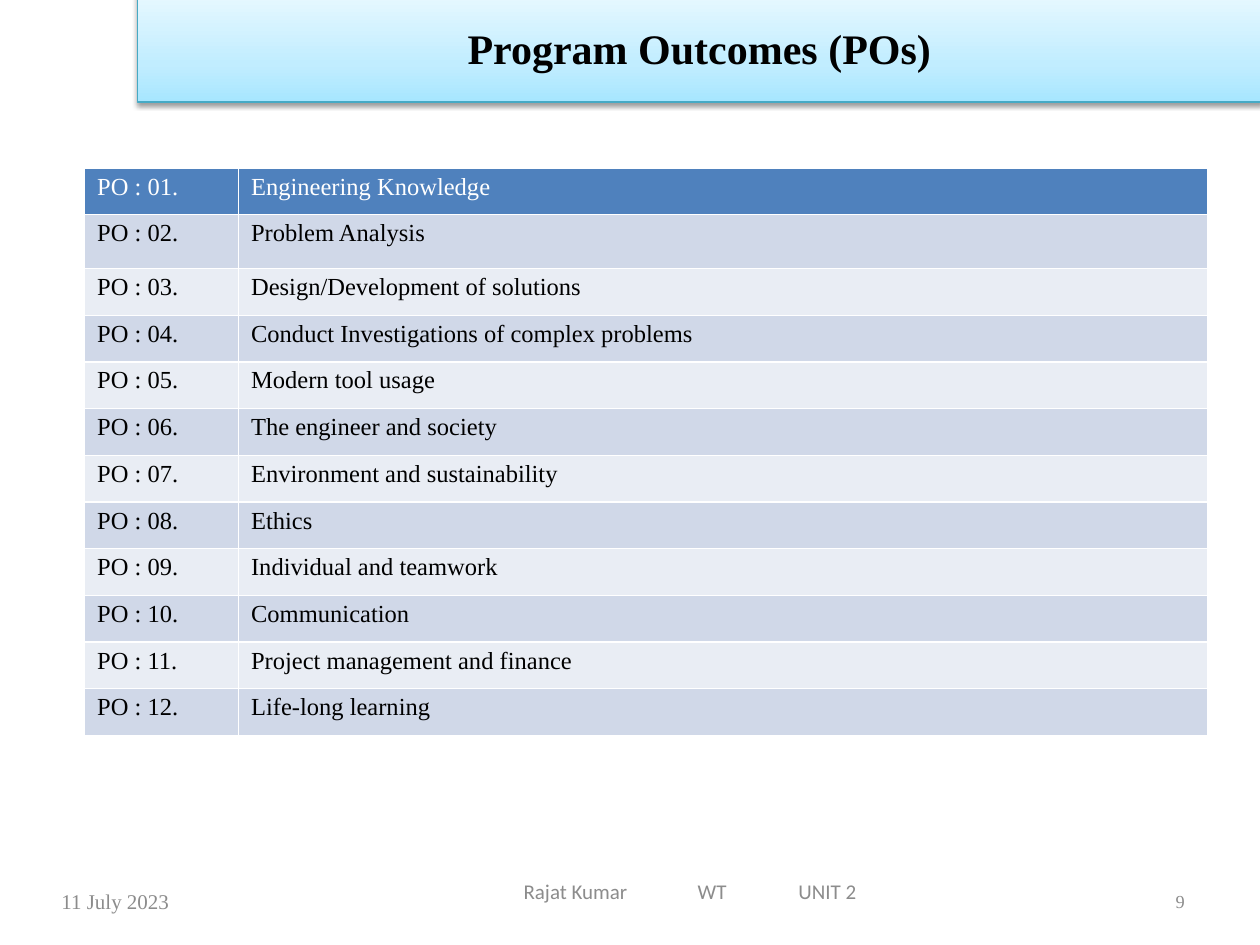
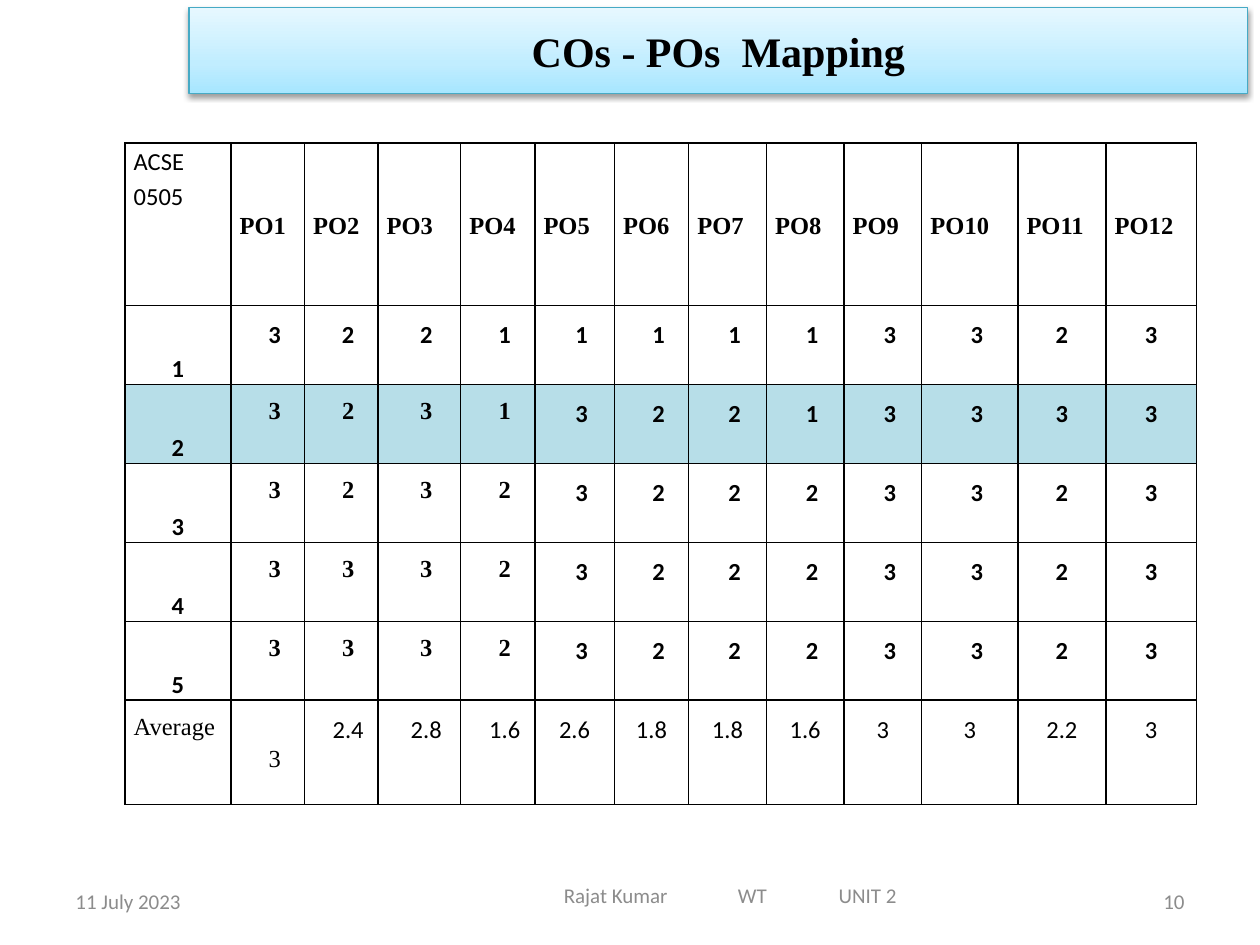
from dataclasses import dataclass
from lxml.etree import SubElement as Sub
from pptx import Presentation as Deck
from pptx.dml.color import RGBColor as RGB
from pptx.enum.shapes import MSO_SHAPE as Kind
from pptx.enum.text import MSO_ANCHOR as Anchor, PP_ALIGN as Align
from pptx.oxml.ns import qn
from pptx.util import Pt


@dataclass(frozen=True)
class Theme:
    serif: str = "Times New Roman"
    sans: str = "Calibri"
    black: str = "000000"
    white: str = "FFFFFF"
    gray: str = "8C8C8C"
    edge: str = "46AAC5"
    head: str = "4F81BD"
    bands: tuple = ("D0D8E8", "E9EDF4")
    mark: str = "B7DEE8"
    glow: tuple = ((0, "A7E6FF"), (35, "C1EDFF"), (100, "E7F8FF"))
    title: float = 24
    body: float = 14
    small: float = 12
    tiny: float = 10.5


T = Theme()
DATE = "11 July 2023"
CREDIT = ("Rajat Kumar", "WT", "UNIT 2")
TABS = (99.5, 157)   # where the second and third credit parts start
SPAN = 190           # width of the whole credit line

GOALS = (
    "Engineering Knowledge", "Problem Analysis",
    "Design/Development of solutions",
    "Conduct Investigations of complex problems", "Modern tool usage",
    "The engineer and society", "Environment and sustainability", "Ethics",
    "Individual and teamwork", "Communication",
    "Project management and finance", "Life-long learning",
)
SCORES = (
    (3, 2, 2, 1, 1, 1, 1, 1, 3, 3, 2, 3),
    (3, 2, 3, 1, 3, 2, 2, 1, 3, 3, 3, 3),
    (3, 2, 3, 2, 3, 2, 2, 2, 3, 3, 2, 3),
    (3, 3, 3, 2, 3, 2, 2, 2, 3, 3, 2, 3),
    (3, 3, 3, 2, 3, 2, 2, 2, 3, 3, 2, 3),
)
MEANS = (3, 2.4, 2.8, 1.6, 2.6, 1.8, 1.8, 1.6, 3, 3, 2.2, 3)


# Text helpers
def style(para, font, size, color, bold=False, align=Align.LEFT):
    para.alignment = align
    for run in para.runs:
        run.font.name, run.font.size, run.font.bold = font, Pt(size), bold
        run.font.color.rgb = RGB.from_string(color)


def label(slide, box, text, font, size=T.small, align=Align.LEFT):
    frame = slide.shapes.add_textbox(*map(Pt, box)).text_frame
    frame.word_wrap = True
    frame.vertical_anchor = Anchor.MIDDLE
    frame.text = text
    style(frame.paragraphs[0], font, size, T.gray, align=align)
    return frame


# Shared slide parts
def banner(slide, box, text):
    shape = slide.shapes.add_shape(Kind.RECTANGLE, *map(Pt, box))
    shape.line.color.rgb = RGB.from_string(T.edge)
    shape.line.width = Pt(0.75)
    shape.fill.gradient()
    shape.fill.gradient_angle = 90
    shape.shadow.inherit = False
    props = shape._element.spPr
    stops = props.find(".//" + qn("a:gsLst"))
    for stop in list(stops):
        stops.remove(stop)
    for pos, color in T.glow:
        stop = Sub(stops, qn("a:gs"), pos=str(pos * 1000))
        Sub(stop, qn("a:srgbClr"), val=color)
    shade = Sub(props.find(qn("a:effectLst")), qn("a:outerShdw"),
                blurRad=str(Pt(3.1)), dist=str(Pt(1.6)), dir="5400000",
                rotWithShape="0")
    tint = Sub(shade, qn("a:srgbClr"), val=T.black)
    Sub(tint, qn("a:alpha"), val="38000")
    frame = shape.text_frame
    frame.vertical_anchor = Anchor.MIDDLE
    frame.text = text
    style(frame.paragraphs[0], T.serif, T.title, T.black, True, Align.CENTER)


def credit(slide, box):
    frame = label(slide, box, "\t".join(CREDIT), T.sans)
    frame.margin_left = Pt((box[2] - SPAN) / 2)
    frame.margin_right = 0
    stops = Sub(frame.paragraphs[0]._p.get_or_add_pPr(), qn("a:tabLst"))
    for pos in TABS:
        Sub(stops, qn("a:tab"), pos=str(Pt(pos)), algn="l")


def footer(slide, left, right, page, mid, font, size):
    label(slide, left, DATE, font)
    label(slide, right, page, font, size, Align.RIGHT)
    credit(slide, mid)


# Table helpers
def grid(slide, left, top, cols, rows):
    table = slide.shapes.add_table(len(rows), len(cols), Pt(left), Pt(top),
                                   Pt(sum(cols)), Pt(sum(rows))).table
    for col, width in zip(table.columns, cols):
        col.width = Pt(width)
    for row, height in zip(table.rows, rows):
        row.height = Pt(height)
    return table


def fill(cell, text, back, edge, pad, anchor=Anchor.TOP):
    cell.margin_left = cell.margin_right = Pt(pad[0])
    cell.margin_top = cell.margin_bottom = Pt(pad[1])
    cell.vertical_anchor = anchor
    props = cell._tc.get_or_add_tcPr()
    for side in ("lnL", "lnR", "lnT", "lnB"):
        line = Sub(props, qn("a:" + side), w=str(Pt(1)))
        Sub(Sub(line, qn("a:solidFill")), qn("a:srgbClr"), val=edge)
    cell.fill.solid()
    cell.fill.fore_color.rgb = RGB.from_string(back)
    cell.text_frame.text = text
    return cell.text_frame.paragraphs[0]


def goals(slide):
    rows = [26.7] * len(GOALS)
    rows[1] = 30.8
    table = grid(slide, 48.3, 96, (88, 553.7), rows)
    for row, goal in enumerate(GOALS):
        back = T.bands[(row - 1) % 2] if row else T.head
        ink = T.black if row else T.white
        for col, text in enumerate((f"PO : {row + 1:02}.", goal)):
            para = fill(table.cell(row, col), text, back, T.white, (7.2, 3))
            style(para, T.serif, T.body, ink)


def place(row, col, last):
    """Anchor, alignment, line spacing and indent of a mapping cell."""
    if row == 0:
        return Anchor.MIDDLE if col else Anchor.TOP, Align.JUSTIFY, 1.15, 0
    if col == 0 and row < last:
        return Anchor.BOTTOM, Align.CENTER, 1.15, 0
    if col == 0:
        return Anchor.TOP, Align.JUSTIFY, 1.5, 0
    anchor = Anchor.MIDDLE if row == last and col == 1 else Anchor.TOP
    inset = 8 if col <= (4 if row == last else 10) else 0
    return anchor, Align.CENTER, 1.5, inset


def face(row, col, last):
    if row == 0:
        serif = col > 0
    elif row == last:
        serif = col < 2
    else:
        serif = row > 1 and 1 <= col <= 4
    return T.serif if serif else T.sans


def matrix(slide):
    cols = (60.6, 42, 42, 47.3, 42.4, 45.5, 42.4, 44.5, 44.3, 44.5, 54.9,
            50.4, 51.6)
    rows = [92.7] + [45.15] * len(SCORES) + [59.6]
    data = [("ACSE 0505", *(f"PO{n}" for n in range(1, 13)))]
    data += [(n, *line) for n, line in enumerate(SCORES, 1)]
    data += [("Average", *MEANS)]
    last = len(data) - 1
    table = grid(slide, 71.4, 81.8, cols, rows)
    for row, line in enumerate(data):
        back = T.mark if row == 2 else T.white
        for col, value in enumerate(line):
            anchor, align, space, inset = place(row, col, last)
            para = fill(table.cell(row, col), str(value), back, T.black,
                        (5, 0), anchor)
            bold = row < last and (row, col) != (0, 0)
            style(para, face(row, col, last), T.body, T.black, bold, align)
            para.line_spacing = space
            if anchor == Anchor.BOTTOM:
                para.space_after = Pt(10)
            if inset:
                para._p.get_or_add_pPr().set("marL", str(Pt(inset)))


def main():
    deck = Deck()
    deck.slide_width, deck.slide_height = Pt(720), Pt(540)
    blank = deck.slide_layouts[6]

    # Program outcomes
    slide = deck.slides.add_slide(blank)
    banner(slide, (78.5, -3.6, 642.2, 62), "Program Outcomes (POs)")
    goals(slide)
    footer(slide, (28, 497.5, 176.4, 34.6), (507.6, 497.5, 176.4, 34.6), "9",
           (151.2, 496, 486, 26), T.serif, T.tiny)

    # Mapping of course outcomes to program outcomes
    slide = deck.slides.add_slide(blank)
    banner(slide, (108, 4.3, 605, 49), "COs - POs  Mapping")
    matrix(slide)
    footer(slide, (36, 500.5, 168, 28.8), (516, 500.5, 168, 28.8), "10",
           (188.6, 500.5, 457.2, 21.6), T.sans, T.small)

    deck.save("out.pptx")


if __name__ == "__main__":
    main()
